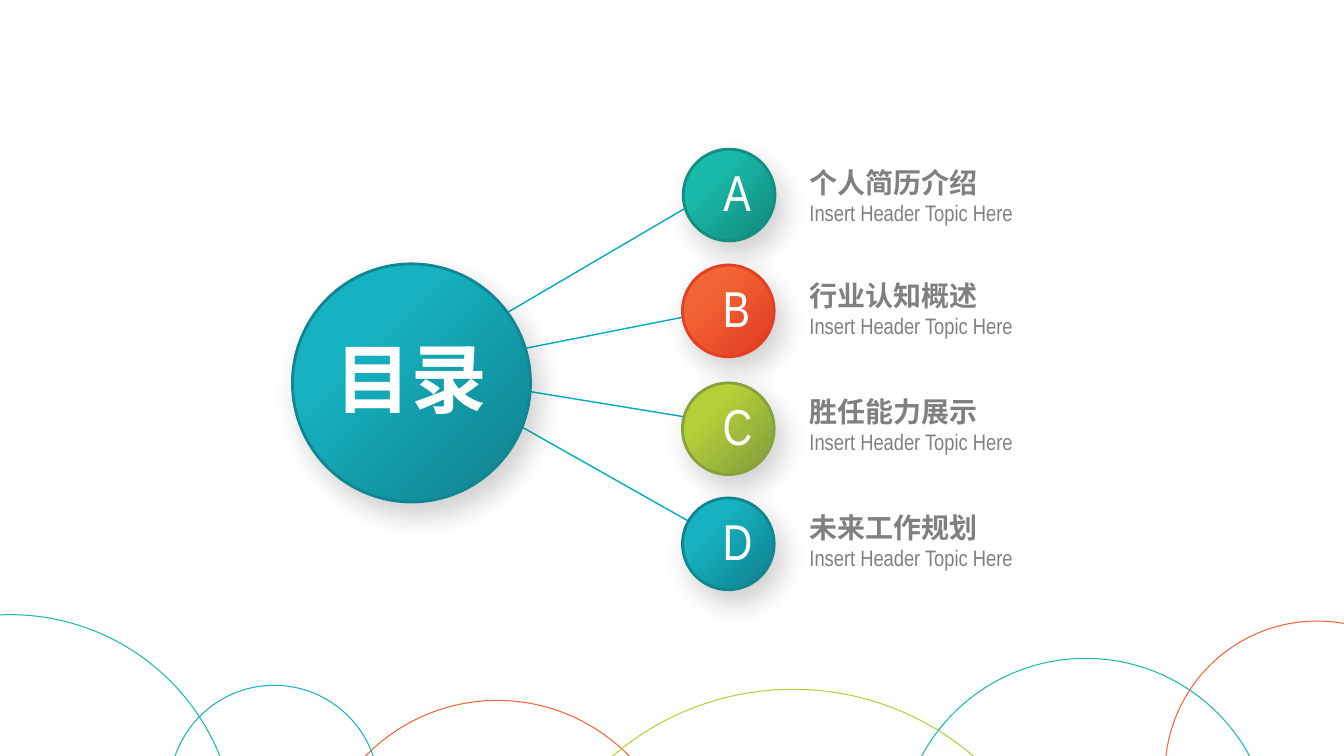
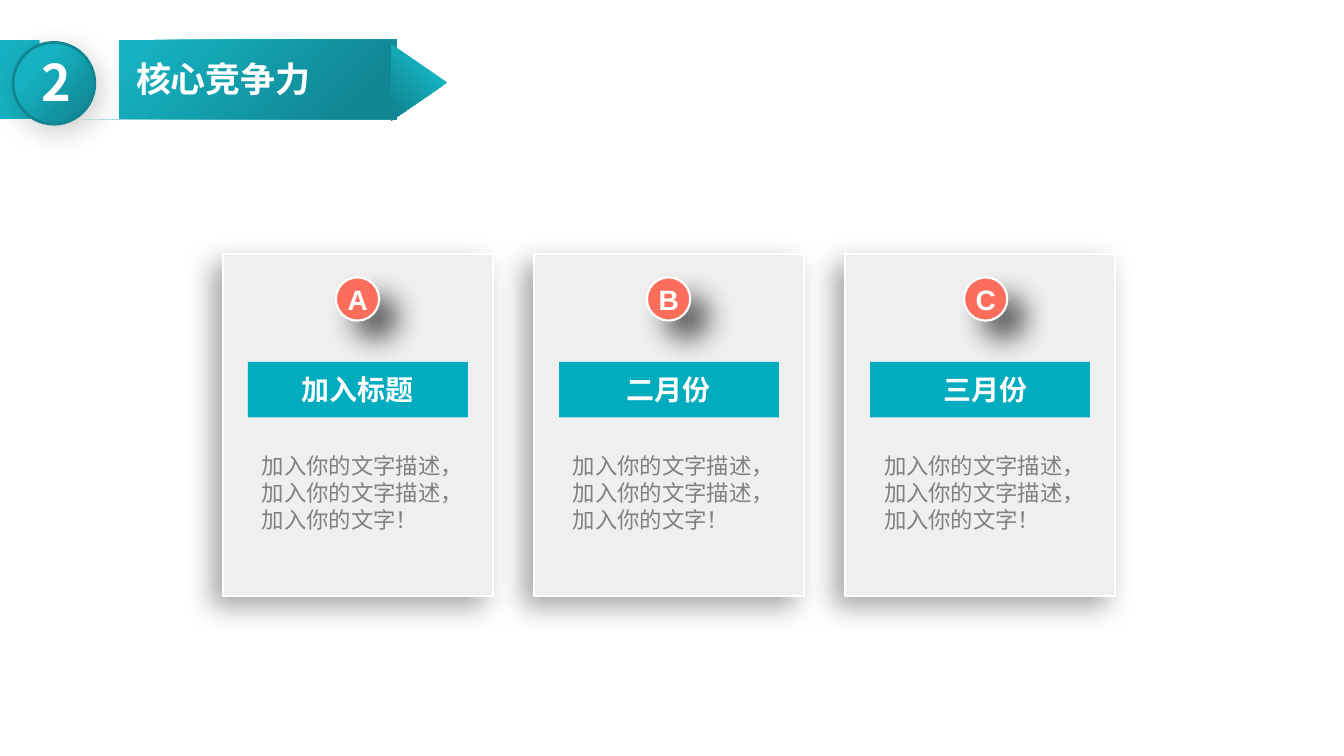
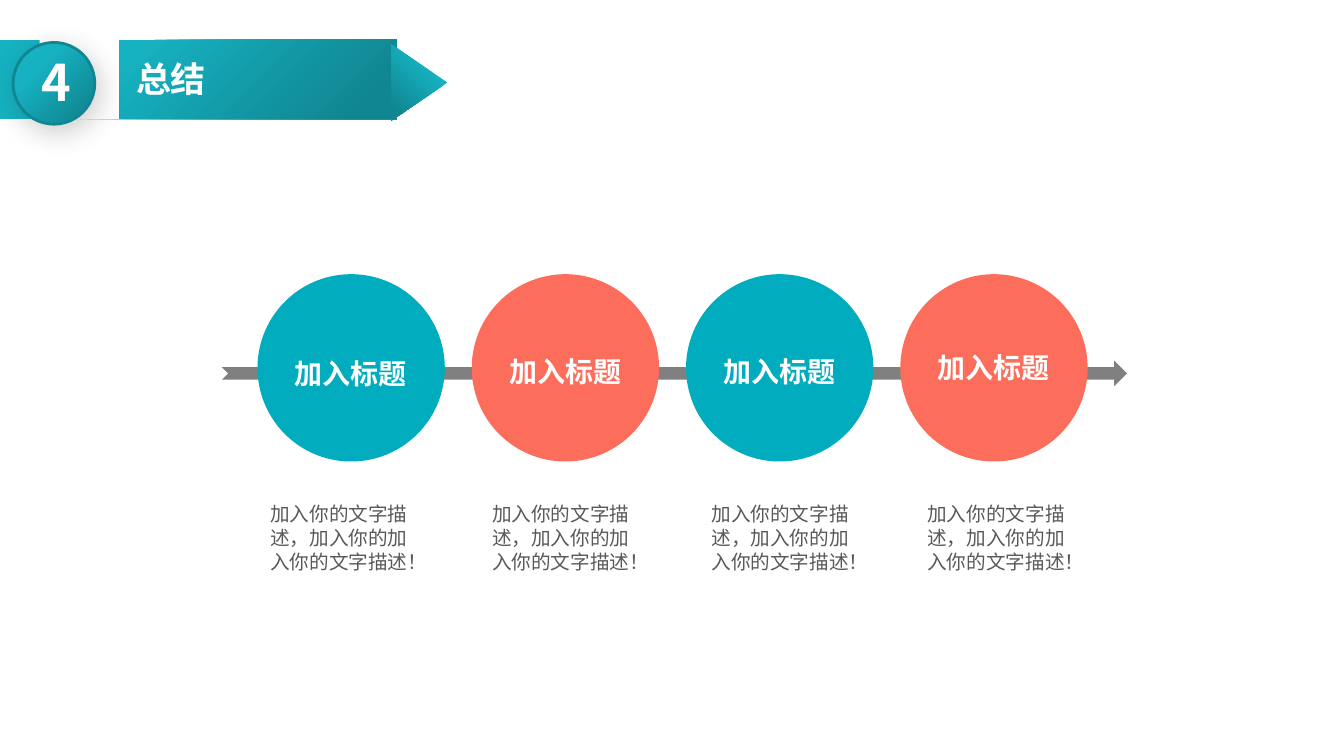
"""Build a contents slide, a three-card slide and a four-stage summary slide."""
import math
from dataclasses import dataclass
from typing import Any, Optional

import lxml.etree
import pptx
import pptx.dml.color
import pptx.enum.shapes
import pptx.enum.text
import pptx.oxml.ns
import pptx.slide
import pptx.util

Cm = pptx.util.Cm
SHAPE = pptx.enum.shapes.MSO_SHAPE
ALIGN = pptx.enum.text.PP_ALIGN
FIT = pptx.enum.text.MSO_AUTO_SIZE

CJK = "Noto Sans CJK SC"
NARROW = "Arial Narrow"
WHITE, GRAY, DARK_GRAY, CARD_GRAY = "FFFFFF", "808080", "595959", "EFEFEF"
CYAN, CORAL = "01ACBE", "FC6E5B"
TEAL_PAIR = ("19BAA9", "138F81")
ORANGE_PAIR = ("F26434", "E33F24")
LIME_PAIR = ("B2D138", "89A13D")
CYAN_PAIR = ("16B2C1", "108692")

HEADING = {"size": 20, "name": CJK, "bold": True, "color": WHITE}
TOPIC = {**HEADING, "color": GRAY}
TOPIC_NOTE = {"size": 16, "name": NARROW, "bold": False, "color": GRAY}
LETTER = {"size": 36, "name": NARROW, "color": WHITE}
HUB = {**HEADING, "size": 54}
HEADER_TITLE = {**HEADING, "size": 25}
HEADER_NUMBER = {**HEADING, "size": 36}
CARD_LETTER = {**HEADING, "name": "Arial"}
CARD_BODY = {"size": 16, "name": CJK, "color": GRAY}
STAGE_BODY = {"size": 14, "name": CJK, "color": DARK_GRAY}

INSETS = (0.25, 0.13, 0.25, 0.13)
NO_INSETS = (0, 0, 0, 0)


@dataclass(frozen=True)
class Box:
    """Position and size in centimetres."""

    left: float
    top: float
    width: float
    height: float

    def lengths(self) -> list[int]:
        """Return the four lengths in document units."""
        return [Cm(value) for value in (self.left, self.top, self.width, self.height)]


@dataclass(frozen=True)
class Shadow:
    """Outer shadow: opacity in percent, blur and distance in points, angle in degrees."""

    color: str
    opacity: int
    blur: int
    distance: int
    angle: int


@dataclass(frozen=True)
class Topic:
    """One entry of the contents slide."""

    letter: str
    title: str
    colors: tuple[str, str]
    badge_left: float
    badge_top: float
    text_top: float
    line_start: tuple[float, float]
    line_end: tuple[float, float]


@dataclass(frozen=True)
class Card:
    """One card; shift moves its badge and title sideways."""

    letter: str
    title: str
    shift: float


@dataclass(frozen=True)
class Stage:
    """One circle on the arrow with the text below it."""

    color: str
    label_top: float
    body_left: float


@dataclass(frozen=True)
class Arc:
    """One background circle."""

    left: float
    top: float
    size: float
    color: str


BALL_SHADOW = Shadow("0D0D0D", 20, 20, 10, 59)
NUMBER_SHADOW = Shadow("0D0D0D", 20, 20, 6, 59)
CARD_SHADOW = Shadow("000000", 34, 20, 10, 136)
BADGE_SHADOW = Shadow("000000", 60, 20, 18, 45)

TOPICS = (
    Topic("A", "个人简历介绍", TEAL_PAIR, 17.22, 3.76, 4.04, (10.24, 9.37), (17.98, 4.83)),
    Topic("B", "行业认知概述", ORANGE_PAIR, 17.2, 6.68, 6.88, (10.24, 9.37), (18.34, 7.77)),
    Topic("C", "胜任能力展示", LIME_PAIR, 17.2, 9.65, 9.8, (10.31, 9.37), (18.39, 10.69)),
    Topic("D", "未来工作规划", CYAN_PAIR, 17.2, 12.55, 12.73, (10.69, 9.37), (18.34, 13.69)),
)
ARCS = (
    Arc(-5.44, 15.49, 11.4, TEAL_PAIR[0]),
    Arc(7.9, 17.65, 9.27, ORANGE_PAIR[0]),
    Arc(4.27, 17.27, 5.28, CYAN_PAIR[0]),
    Arc(13, 17.37, 13.97, LIME_PAIR[0]),
    Arc(29.36, 15.65, 7.67, ORANGE_PAIR[0]),
    Arc(22.66, 16.59, 9.4, TEAL_PAIR[0]),
)
CARDS = (Card("A", "加入标题", 0), Card("B", "二月份", 0), Card("C", "三月份", 0.15))
STAGES = (
    Stage(CYAN, 8.84, 6.81),
    Stage(CORAL, 8.79, 12.4),
    Stage(CYAN, 8.79, 17.93),
    Stage(CORAL, 8.69, 23.37),
)


def rgb(color: str) -> pptx.dml.color.RGBColor:
    """Turn a hex string into a colour."""
    return pptx.dml.color.RGBColor.from_string(color)


def paint(shape: Any, fill: Any = None, line: Optional[str] = None,
          weight: float = 1, shadow: Optional[Shadow] = None) -> None:
    """Set fill (none, plain or a gradient pair), outline and shadow."""
    if fill is None:
        shape.fill.background()
    elif isinstance(fill, str):
        shape.fill.solid()
        shape.fill.fore_color.rgb = rgb(fill)
    else:
        shape.fill.gradient()
        shape.fill.gradient_angle = 315
        for stop, color, position in zip(shape.fill.gradient_stops, fill, (0.3, 0.9)):
            stop.color.rgb = rgb(color)
            stop.position = position
    if line is None:
        shape.line.fill.background()
    else:
        shape.line.color.rgb = rgb(line)
        shape.line.width = pptx.util.Pt(weight)
    shape.shadow.inherit = False
    if shadow is not None:
        qn = pptx.oxml.ns.qn
        effects = shape._element.spPr.find(qn("a:effectLst"))
        outer = lxml.etree.SubElement(
            effects, qn("a:outerShdw"), blurRad=str(shadow.blur * 12700),
            dist=str(shadow.distance * 12700), dir=str(shadow.angle * 60000),
            algn="ctr", rotWithShape="0")
        color = lxml.etree.SubElement(outer, qn("a:srgbClr"), val=shadow.color)
        lxml.etree.SubElement(color, qn("a:alpha"), val=str(shadow.opacity * 1000))


def add_figure(shapes: Any, kind: Any, box: Box, fill: Any = None, **look: Any) -> Any:
    """Add a painted preset shape."""
    shape = shapes.add_shape(kind, *box.lengths())
    paint(shape, fill, **look)
    return shape


def write(frame: Any, lines: list[tuple[str, dict]], insets: tuple = INSETS,
          align: Any = ALIGN.LEFT, wrap: bool = True, fit: Any = FIT.SHAPE_TO_FIT_TEXT) -> None:
    """Fill a text frame with one formatted paragraph per line."""
    sides = ("margin_left", "margin_top", "margin_right", "margin_bottom")
    for side, inset in zip(sides, insets):
        setattr(frame, side, Cm(inset))
    frame.word_wrap = wrap
    frame.auto_size = fit
    for index, (text, style) in enumerate(lines):
        para = frame.add_paragraph() if index else frame.paragraphs[0]
        para.alignment = align
        span = para.add_run()
        span.text = text
        for key, value in style.items():
            if key == "color":
                span.font.color.rgb = rgb(value)
            else:
                setattr(span.font, key, pptx.util.Pt(value) if key == "size" else value)
        lxml.etree.SubElement(span.font._element, pptx.oxml.ns.qn("a:ea"), typeface=style["name"])


def add_text(page: pptx.slide.Slide, box: Box, lines: list[tuple[str, dict]], **layout: Any) -> None:
    """Add a text box."""
    write(page.shapes.add_textbox(*box.lengths()).text_frame, lines, **layout)


def add_ball(page: pptx.slide.Slide, left: float, top: float, size: float,
             colors: tuple[str, str], shadow: Shadow = BALL_SHADOW) -> None:
    """Add a gradient ball with a dark rim."""
    add_figure(page.shapes, SHAPE.OVAL, Box(left, top, size, size), colors,
               line=colors[1], weight=2, shadow=shadow)


def add_line(page: pptx.slide.Slide, start: tuple[float, float], end: tuple[float, float]) -> None:
    """Add a thin straight line."""
    ends = [Cm(value) for value in (*start, *end)]
    line = page.shapes.add_connector(pptx.enum.shapes.MSO_CONNECTOR.STRAIGHT, *ends)
    line.line.color.rgb = rgb(CYAN)
    line.line.width = pptx.util.Pt(1)
    lxml.etree.SubElement(line._element.spPr, pptx.oxml.ns.qn("a:effectLst"))


def notch(first: int, last: int) -> list[tuple[float, float]]:
    """Return points along the round cut in the header band."""
    angles = [math.radians(first + (last - first) * step / 24) for step in range(25)]
    return [(1.71 + 1.03 * math.cos(angle), 2.08 + 1.03 * math.sin(angle)) for angle in angles]


def add_header(page: pptx.slide.Slide, number: str, title: str) -> None:
    """Add the arrow band with section number and title."""
    top, bottom, right = 1.32, 2.84, 9.88
    group = page.shapes.add_group_shape()
    outline = group.shapes.build_freeform(right, top, scale=Cm(1))
    outline.add_line_segments([(right, bottom), *notch(47, -47)])
    outline.move_to(0, top)
    outline.add_line_segments([*notch(227, 133), (0, bottom)])
    paint(outline.convert_to_shape(), CYAN_PAIR)
    tip = add_figure(group.shapes, SHAPE.ISOSCELES_TRIANGLE, Box(9.6, 1.37, 1.93, 1.42), CYAN_PAIR)
    tip.rotation = 90
    add_text(page, Box(3.18, top, 7.16, 1.5), [(title, HEADER_TITLE)], fit=FIT.NONE)
    add_ball(page, 0.33, 1.07, 2.06, CYAN_PAIR, NUMBER_SHADOW)
    add_text(page, Box(0.2, 1.17, 2.44, 1.8), [(number, HEADER_NUMBER)], align=ALIGN.CENTER)


def build_contents(page: pptx.slide.Slide) -> None:
    """Draw the contents hub with its four topics."""
    for topic in reversed(TOPICS):
        add_line(page, topic.line_start, topic.line_end)
    for arc in ARCS:
        add_figure(page.shapes, SHAPE.OVAL, Box(arc.left, arc.top, arc.size, arc.size),
                   line=arc.color, weight=0.75)
    for topic in TOPICS:
        add_text(page, Box(20.4, topic.text_top, 11, 1.8),
                 [(topic.title, TOPIC), ("Insert Header Topic Here", TOPIC_NOTE)],
                 insets=(0, 0.13, 0.25, 0.13))
        add_ball(page, topic.badge_left, topic.badge_top, 2.31, topic.colors)
        add_text(page, Box(topic.badge_left + 0.76, topic.badge_top + 0.18, 0.89, 1.8),
                 [(topic.letter, LETTER)], align=ALIGN.CENTER)
    add_ball(page, 7.37, 6.65, 6, CYAN_PAIR)
    add_text(page, Box(7.37, 8.23, 6, 2.57), [("目录", HUB)], align=ALIGN.CENTER)


def build_cards(page: pptx.slide.Slide) -> None:
    """Draw three cards in a row."""
    width, pitch = 6.81, 7.84
    for index, card in enumerate(CARDS):
        left = 5.61 + index * pitch
        center = left + width / 2 + card.shift
        title_width = 0.5 + 0.71 * len(card.title)
        add_figure(page.shapes, SHAPE.RECTANGLE, Box(left, 6.4, width, 8.61), CARD_GRAY,
                   line=WHITE, weight=1.5, shadow=CARD_SHADOW)
        add_figure(page.shapes, SHAPE.OVAL, Box(center - 0.55, 6.99, 1.09, 1.09), CORAL,
                   line=WHITE, weight=1.5, shadow=BADGE_SHADOW)
        add_text(page, Box(center - 1.98, 6.99, 3.96, 1.12),
                 [(card.letter, CARD_LETTER)], align=ALIGN.CENTER)
        add_figure(page.shapes, SHAPE.RECTANGLE, Box(left + 0.64, 9.12, 5.54, 1.4), CYAN)
        add_text(page, Box(center - title_width / 2, 9.25, title_width, 1.12),
                 [(card.title, HEADING)], wrap=False)
        add_text(page, Box(left + 0.74, 11.4, 5.33, 2.01),
                 [("加入你的文字描述，加入你的文字描述，加入你的文字！", CARD_BODY)],
                 insets=(0.25, 0, 0.25, 0), fit=FIT.NONE)
    add_header(page, "2", "核心竞争力")


def build_summary(page: pptx.slide.Slide) -> None:
    """Draw four stages along an arrow."""
    add_header(page, "4", "总结")
    add_figure(page.shapes, SHAPE.NOTCHED_RIGHT_ARROW, Box(5.59, 9.09, 22.81, 0.64), GRAY)
    size, rim, pitch = 4.72, 0.1, 5.4
    for index, stage in enumerate(STAGES):
        left, top = 6.49 + index * pitch, 6.91
        add_text(page, Box(stage.body_left, 12.66, 3.91, 1.8),
                 [("加入你的文字描述，加入你的加入你的文字描述！", STAGE_BODY)], insets=NO_INSETS)
        group = page.shapes.add_group_shape()
        ring = add_figure(group.shapes, SHAPE.DONUT, Box(left, top, size, size), stage.color)
        ring.adjustments[0] = 0.05
        inner = size - 2 * rim
        add_figure(group.shapes, SHAPE.OVAL, Box(left + rim, top + rim, inner, inner), stage.color)
        label = add_figure(group.shapes, SHAPE.RECTANGLE,
                           Box(left + 0.68, stage.label_top, 3.35, 1.12), stage.color)
        write(label.text_frame, [("加入标题", HEADING)], align=ALIGN.CENTER, wrap=False)


def main() -> None:
    """Build and save the deck."""
    deck = pptx.Presentation()
    deck.slide_width, deck.slide_height = Cm(33.87), Cm(19.05)
    for build in (build_contents, build_cards, build_summary):
        build(deck.slides.add_slide(deck.slide_layouts[6]))
    deck.save("out.pptx")


if __name__ == "__main__":
    main()
